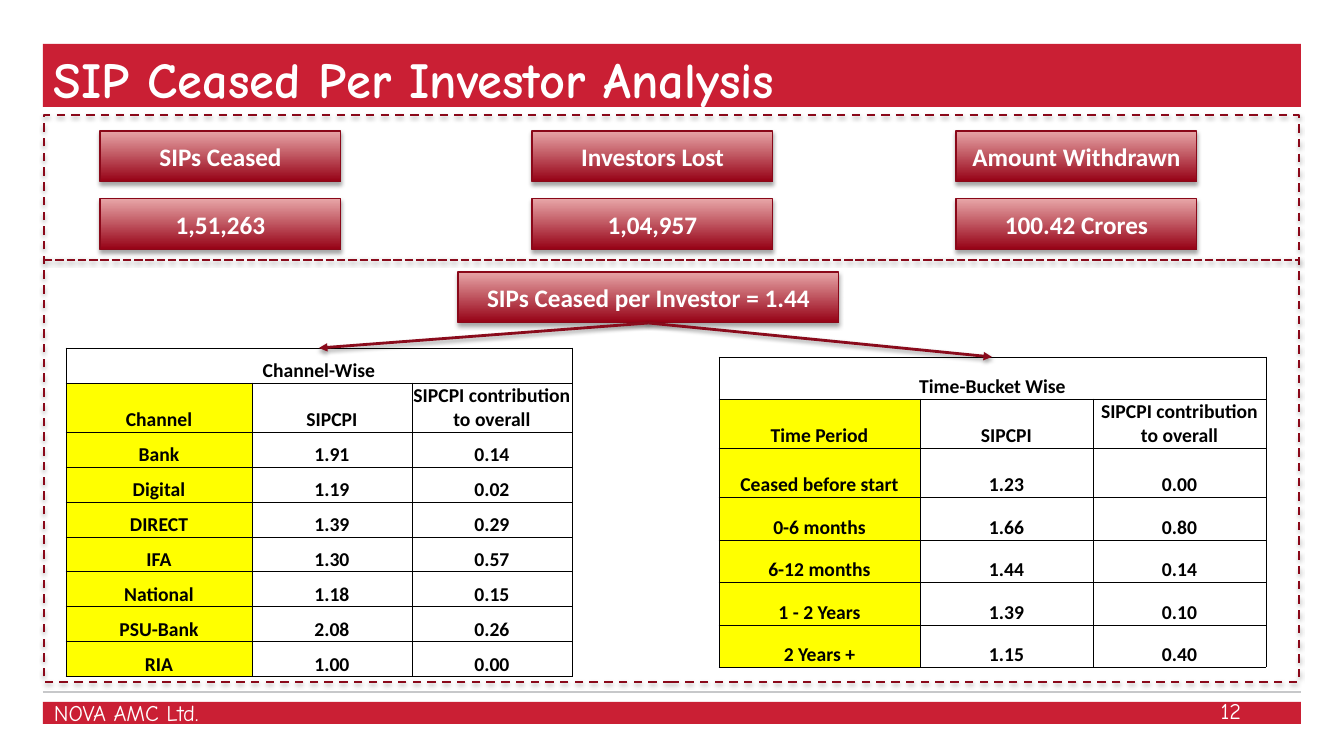
from dataclasses import dataclass

from lxml.etree import SubElement
from pptx import Presentation
from pptx.dml.color import RGBColor
from pptx.enum.dml import MSO_LINE
from pptx.enum.shapes import MSO_CONNECTOR, MSO_SHAPE
from pptx.enum.text import MSO_ANCHOR as ANCHOR, PP_ALIGN as ALIGN
from pptx.oxml.ns import qn
from pptx.shapes.autoshape import Shape
from pptx.shapes.connector import Connector
from pptx.slide import Slide
from pptx.table import _Cell as Cell
from pptx.text.text import TextFrame
from pptx.util import Emu, Pt

RED = RGBColor(0xCA, 0x1F, 0x34)
DARK_RED = RGBColor(0x95, 0x00, 0x14)
PINK = RGBColor(0xE7, 0xA5, 0xA7)
BORDER_RED = RGBColor(0x8A, 0x08, 0x19)
LINE_RED = RGBColor(0x8A, 0x0B, 0x1C)
GRAY = RGBColor(0xC7, 0xC8, 0xCA)
YELLOW = RGBColor(0xFF, 0xFF, 0x00)
WHITE = RGBColor(0xFF, 0xFF, 0xFF)
BLACK = RGBColor(0x00, 0x00, 0x00)
BODY_FONT = "Calibri"
BRAND_FONT = "Comic Neue"
PX_PER_INCH = 100.8


@dataclass
class Box:
    x: int
    y: int
    w: int
    h: int


@dataclass
class Metric:
    x: int
    name: str
    value: str


@dataclass
class Breakdown:
    x: int
    y: int
    title: str
    cols: list[int]
    heights: list[int]
    rows: list[list[str]]


CONTRIBUTION = "SIPCPI contribution to overall"
METRICS = [
    Metric(100, "SIPs Ceased", "1,51,263"),
    Metric(532, "Investors Lost", "1,04,957"),
    Metric(956, "Amount Withdrawn", "100.42 Crores"),
]
BREAKDOWNS = [
    Breakdown(66, 348, "Channel-Wise", [186, 160, 160], [35, 49] + [35] * 7, [
        ["Channel", "SIPCPI", CONTRIBUTION],
        ["Bank", "1.91", "0.14"],
        ["Digital", "1.19", "0.02"],
        ["DIRECT", "1.39", "0.29"],
        ["IFA", "1.30", "0.57"],
        ["National", "1.18", "0.15"],
        ["PSU-Bank", "2.08", "0.26"],
        ["RIA", "1.00", "0.00"],
    ]),
    Breakdown(719, 357, "Time-Bucket Wise", [201, 173, 173], [42, 49, 49, 43, 42, 43, 42], [
        ["Time Period", "SIPCPI", CONTRIBUTION],
        ["Ceased before start", "1.23", "0.00"],
        ["0-6 months", "1.66", "0.80"],
        ["6-12 months", "1.44", "0.14"],
        ["1 - 2 Years", "1.39", "0.10"],
        ["2 Years +", "1.15", "0.40"],
    ]),
]


def px(n: int) -> Emu:
    return Emu(round(n * 914400 / PX_PER_INCH))


def put_text(tf: TextFrame, text: str, *, size: int, color: RGBColor = WHITE,
             font: str = BODY_FONT, bold: bool = True, align: ALIGN = ALIGN.CENTER) -> None:
    p = tf.paragraphs[0]
    p.alignment = align
    r = p.add_run()
    r.text = text
    r.font.size = Pt(size)
    r.font.name = font
    r.font.bold = bold
    r.font.color.rgb = color


def add_effects(s: Shape | Connector, opacity: int = 0, dist: float = 1.8) -> None:
    effects = SubElement(s._element.spPr, qn("a:effectLst"))
    if opacity:
        shadow = SubElement(effects, qn("a:outerShdw"), blurRad=str(Pt(3.1)),
                            dist=str(Pt(dist)), dir="5400000", rotWithShape="0")
        black = SubElement(shadow, qn("a:srgbClr"), val="000000")
        SubElement(black, qn("a:alpha"), val=str(opacity * 1000))


def add_rect(slide: Slide, box: Box) -> Shape:
    return slide.shapes.add_shape(MSO_SHAPE.RECTANGLE, px(box.x), px(box.y), px(box.w), px(box.h))


def add_bar(slide: Slide, box: Box) -> None:
    s = add_rect(slide, box)
    s.fill.solid()
    s.fill.fore_color.rgb = RED
    s.line.fill.background()
    s.shadow.inherit = False


def add_frame(slide: Slide, box: Box) -> None:
    s = add_rect(slide, box)
    s.fill.background()
    s.line.color.rgb = BORDER_RED
    s.line.width = Pt(1.5)
    s.line.dash_style = MSO_LINE.DASH
    add_effects(s, 35)


def add_button(slide: Slide, box: Box, text: str) -> Shape:
    s = add_rect(slide, box)
    s.fill.gradient()
    s.fill.gradient_angle = 90
    for stop, color, position in zip(s.fill.gradient_stops, (DARK_RED, PINK), (0, 1)):
        stop.color.rgb = color
        stop.position = position
    s.line.color.rgb = BORDER_RED
    s.line.width = Pt(0.75)
    add_effects(s, 35)
    s.text_frame.word_wrap = True
    s.text_frame.vertical_anchor = ANCHOR.MIDDLE
    put_text(s.text_frame, text, size=18)
    return s


def add_label(slide: Slide, box: Box, text: str, *, size: int = 16, bold: bool = False,
              align: ALIGN = ALIGN.LEFT, anchor: ANCHOR = ANCHOR.TOP) -> None:
    tf = slide.shapes.add_textbox(px(box.x), px(box.y), px(box.w), px(box.h)).text_frame
    tf.word_wrap = True
    tf.vertical_anchor = anchor
    put_text(tf, text, size=size, font=BRAND_FONT, bold=bold, align=align)


def add_line(slide: Slide, x1: int, y1: int, x2: int, y2: int, *, color: RGBColor = LINE_RED,
             width: int = 2, opacity: int = 38, arrow: bool = False) -> Connector:
    s = slide.shapes.add_connector(MSO_CONNECTOR.STRAIGHT, px(x1), px(y1), px(x2), px(y2))
    s.line.color.rgb = color
    s.line.width = Pt(width)
    if arrow:
        SubElement(s.line._get_or_add_ln(), qn("a:tailEnd"), type="triangle")
    add_effects(s, opacity, 1.6)
    return s


def style_cell(cell: Cell, fill: RGBColor | None) -> None:
    cell.margin_left = cell.margin_right = cell.margin_top = px(1)
    cell.margin_bottom = 0
    cell.vertical_anchor = ANCHOR.BOTTOM
    for side in "LRTB":
        ln = SubElement(cell._tc.get_or_add_tcPr(), qn(f"a:ln{side}"), w=str(Pt(0.5)))
        solid = SubElement(ln, qn("a:solidFill"))
        SubElement(solid, qn("a:srgbClr"), val=str(BLACK))
    if fill is None:
        cell.fill.background()
    else:
        cell.fill.solid()
        cell.fill.fore_color.rgb = fill


def add_breakdown(slide: Slide, b: Breakdown) -> None:
    rows = [[b.title, "", ""], *b.rows]
    table = slide.shapes.add_table(len(rows), len(b.cols), px(b.x), px(b.y),
                                   px(sum(b.cols)), px(sum(b.heights))).table
    table.first_row = table.horz_banding = False
    for col, width in zip(table.columns, b.cols):
        col.width = px(width)
    for i, (row, height) in enumerate(zip(rows, b.heights)):
        table.rows[i].height = px(height)
        for j, text in enumerate(row):
            cell = table.cell(i, j)
            style_cell(cell, YELLOW if i and j == 0 else None)
            if text:
                put_text(cell.text_frame, text, size=14, color=BLACK)
    table.cell(0, 0).merge(table.cell(0, len(b.cols) - 1))


def main() -> None:
    prs = Presentation()
    prs.slide_width, prs.slide_height = px(1344), px(756)
    slide = prs.slides.add_slide(prs.slide_layouts[6])
    add_bar(slide, Box(43, 44, 1258, 63))
    add_bar(slide, Box(43, 702, 1258, 22))
    add_line(slide, 43, 692, 1301, 692, color=GRAY, width=1, opacity=0)
    add_label(slide, Box(44, 694, 425, 40), "NOVA AMC Ltd.")
    add_label(slide, Box(949, 691, 302, 40), "12", align=ALIGN.RIGHT, anchor=ANCHOR.MIDDLE)
    add_label(slide, Box(44, 43, 1208, 86), "SIP Ceased Per Investor Analysis", size=36, bold=True)
    add_frame(slide, Box(44, 115, 1255, 567))
    for m in METRICS:
        for y, text in ((131, m.name), (199, m.value)):
            add_button(slide, Box(m.x, y, 241, 51), text)
    ratio = add_button(slide, Box(458, 272, 381, 51), "SIPs Ceased per Investor = 1.44")
    for b in BREAKDOWNS:
        add_breakdown(slide, b)
    for b in BREAKDOWNS:
        arrow = add_line(slide, 648, 323, b.x + sum(b.cols) // 2, b.y, arrow=True)
        arrow.begin_connect(ratio, 2)
    divider = add_line(slide, 44, 260, 1299, 260)
    divider.line.dash_style = MSO_LINE.SQUARE_DOT
    prs.save("out.pptx")


if __name__ == "__main__":
    main()
